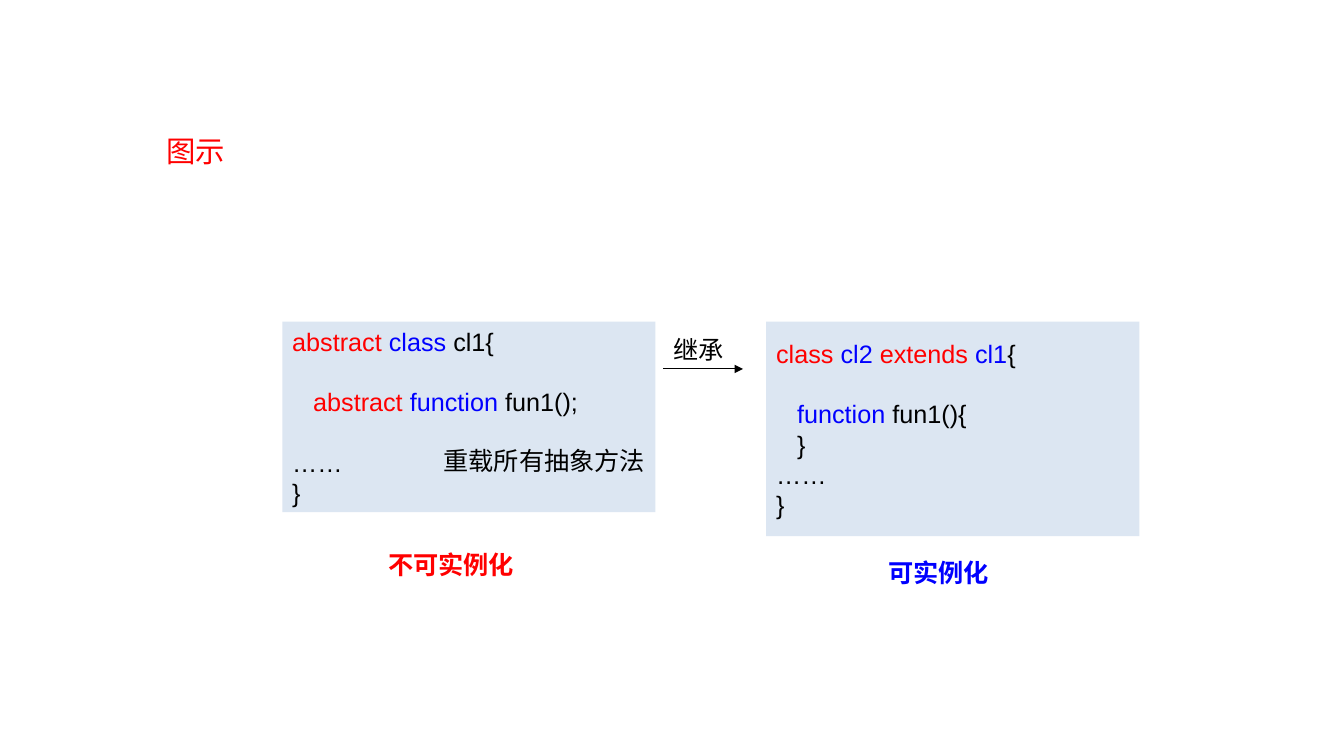
from pptx import Presentation
from pptx.dml.color import RGBColor
from pptx.enum.shapes import MSO_CONNECTOR, MSO_SHAPE
from pptx.enum.text import MSO_ANCHOR, PP_ALIGN
from pptx.oxml.ns import qn
from pptx.util import Inches, Pt
from lxml.etree import SubElement

COLORS = {"red": "FF0000", "blue": "0000FF", "black": "000000", "panel": "DCE6F2"}
CJK_FONT = "Noto Sans CJK SC"
LINE_HEIGHT = Pt(21.6)


def color(name):
    return RGBColor.from_string(COLORS[name])


def add_run(paragraph, text, color_name, **formats):
    run = paragraph.add_run()
    run.text = text
    for name, value in ({"name": "Arial", "size": Pt(18)} | formats).items():
        setattr(run.font, name, value)
    run.font.color.rgb = color(color_name)
    east_asian = SubElement(run.font._element, qn("a:ea"))
    east_asian.set("typeface", CJK_FONT)


presentation = Presentation()
presentation.slide_width = Inches(13.33)
presentation.slide_height = Inches(7.5)
slide = presentation.slides.add_slide(presentation.slide_layouts[1])

# Heading in the body placeholder
title = slide.shapes.title
title._element.getparent().remove(title._element)
heading = slide.placeholders[1]
heading.left, heading.top = Inches(1.65), Inches(1.32)
heading.width, heading.height = Inches(2.23), Inches(0.35)
frame = heading.text_frame
for side in ("left", "top", "right", "bottom"):
    setattr(frame, f"margin_{side}", 0)
paragraph = frame.paragraphs[0]
properties = paragraph._p.get_or_add_pPr()
properties.set("marL", "0")
properties.set("indent", "0")
SubElement(properties, qn("a:buNone"))
paragraph.space_before = Pt(0)
add_run(paragraph, "图示", "red", name=CJK_FONT, size=Pt(21))

# Code panels: left, height, lines of (blank lines above, runs)
code_panels = [
    (2.8, 1.89, [
        (0, [("abstract ", "red"), ("class ", "blue"), ("cl1{", "black")]),
        (1, [("   abstract ", "red"), ("function", "blue"), (" fun1();", "black")]),
        (1, [("……", "black")]),
        (0, [("}", "black")]),
    ]),
    (7.6, 2.13, [
        (0, [("class ", "red"), ("cl2 ", "blue"), ("extends ", "red"),
             ("cl1", "blue"), ("{", "black")]),
        (1, [("   function", "blue"), (" fun1(){", "black")]),
        (0, [("   }", "black")]),
        (0, [("……", "black")]),
        (0, [("}", "black")]),
    ]),
]
for left, height, lines in code_panels:
    panel = slide.shapes.add_shape(
        MSO_SHAPE.RECTANGLE, Inches(left), Inches(3.19), Inches(3.7), Inches(height))
    panel.shadow.inherit = False
    panel.fill.solid()
    panel.fill.fore_color.rgb = color("panel")
    panel.line.fill.background()
    frame = panel.text_frame
    frame.word_wrap = False
    frame.vertical_anchor = MSO_ANCHOR.MIDDLE
    for index, (blank_lines, runs) in enumerate(lines):
        paragraph = frame.add_paragraph() if index else frame.paragraphs[0]
        paragraph.alignment = PP_ALIGN.LEFT
        paragraph.line_spacing = LINE_HEIGHT
        paragraph.space_before = blank_lines * LINE_HEIGHT
        for text, color_name in runs:
            add_run(paragraph, text, color_name)

# Inheritance arrow
arrow = slide.shapes.add_connector(
    MSO_CONNECTOR.STRAIGHT, Inches(6.58), Inches(3.66), Inches(7.37), Inches(3.66))
arrow.line.color.rgb = color("black")
arrow.line.width = Pt(0.75)
SubElement(arrow.line._get_or_add_ln(), qn("a:tailEnd")).set("type", "triangle")
SubElement(arrow._element.spPr, qn("a:effectLst"))

# Labels: text, left, top, width, colour, bold
labels = [
    ("继承", 6.58, 3.27, 0.7, "black", False),
    ("重载所有抽象方法", 4.3, 4.37, 2.2, "black", False),
    ("不可实例化", 3.75, 5.4, 1.45, "red", True),
    ("可实例化", 8.71, 5.48, 1.2, "blue", True),
]
for text, left, top, width, color_name, bold in labels:
    label = slide.shapes.add_textbox(
        Inches(left), Inches(top), Inches(width), Inches(0.4))
    label.text_frame.word_wrap = False
    add_run(label.text_frame.paragraphs[0], text, color_name, bold=bold)

presentation.save("out.pptx")
